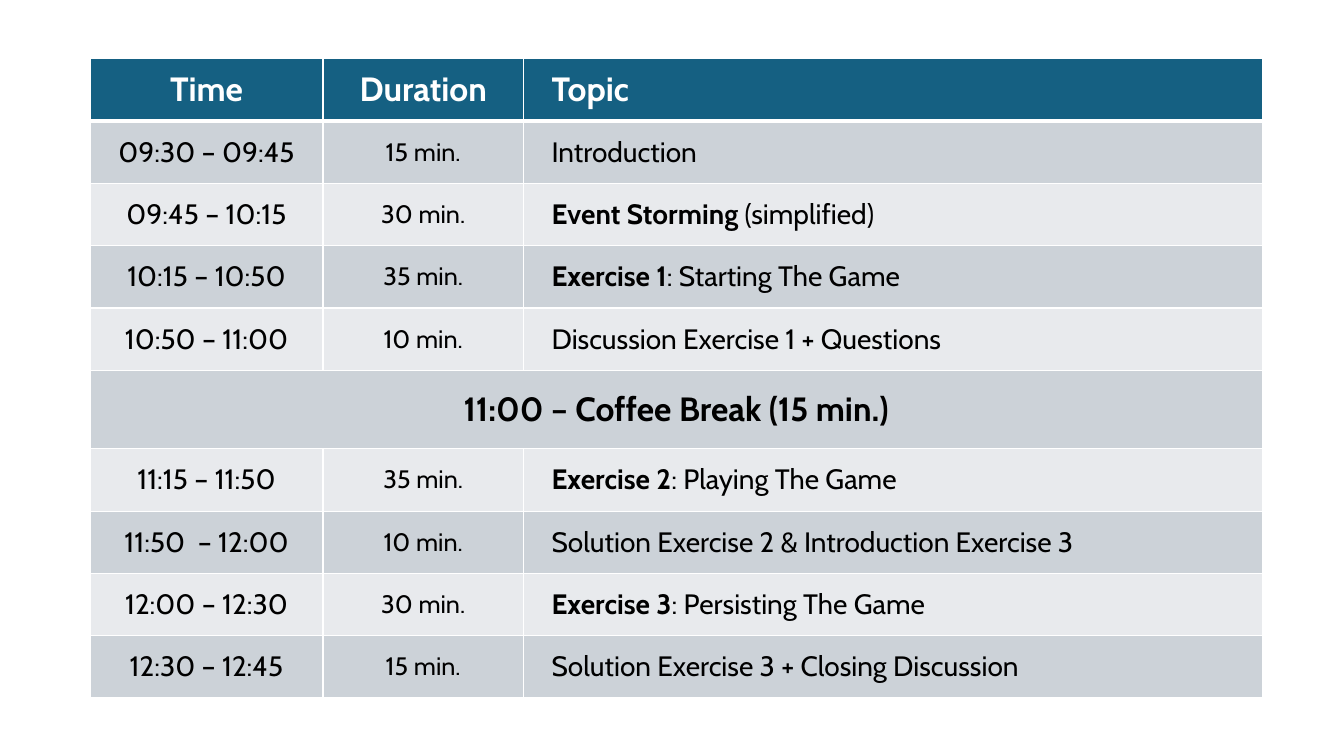
from lxml import etree
from pptx import Presentation
from pptx.dml.color import RGBColor
from pptx.enum.text import MSO_ANCHOR, PP_ALIGN
from pptx.oxml.ns import qn
from pptx.util import Cm, Pt

MIDDLE = MSO_ANCHOR.MIDDLE
LEFT, CENTER = PP_ALIGN.LEFT, PP_ALIGN.CENTER

FONT = "Cabin"
WHITE, BLACK = "FFFFFF", "000000"
HEADER_FILL = "156082"
BAND_FILLS = ("E8EAED", "CCD2D8")  # even rows, odd rows

COL_WIDTHS = (5.87, 5.05, 18.62)
ROW_HEIGHT, BREAK_HEIGHT = 1.57, 1.98
TOPIC_COL = 2
TOPIC_INDENT = 0.71

HEADINGS = ("Time", "Duration", "Topic")
COFFEE_BREAK = "11:00 – Coffee Break (15 min.)"

# Time, duration, bold start of the topic, rest of the topic
AGENDA = (
    ("09:30 – 09:45", "15 min.", "", "Introduction"),
    ("09:45 – 10:15", "30 min.", "Event Storming ", "(simplified)"),
    ("10:15 – 10:50", "35 min.", "Exercise 1", ": Starting The Game"),
    ("10:50 – 11:00", "10 min.", "", "Discussion Exercise 1 + Questions"),
    None,  # coffee break
    ("11:15 – 11:50", "35 min.", "Exercise 2", ": Playing The Game"),
    ("11:50  – 12:00", "10 min.", "",
     "Solution Exercise 2 & Introduction Exercise 3"),
    ("12:00 – 12:30", "30 min.", "Exercise 3", ": Persisting The Game"),
    ("12:30 – 12:45", "15 min.", "",
     "Solution Exercise 3 + Closing Discussion"),
)


def rgb(color):
    return RGBColor.from_string(color)


def set_borders(cell, top, bottom):
    """Give the cell white borders; top and bottom are widths in points."""
    tcPr = cell._tc.get_or_add_tcPr()
    for side, width in (("L", 1), ("R", 1), ("T", top), ("B", bottom)):
        ln = etree.SubElement(tcPr, qn(f"a:ln{side}"), w=str(Pt(width)))
        fill = etree.SubElement(ln, qn("a:solidFill"))
        etree.SubElement(fill, qn("a:srgbClr"), val=WHITE)


def style_cell(cell, row):
    set_borders(cell, 3 if row == 1 else 1, 3 if row == 0 else 1)
    cell.fill.solid()
    cell.fill.fore_color.rgb = rgb(BAND_FILLS[row % 2] if row else HEADER_FILL)
    cell.vertical_anchor = MIDDLE


def write_cell(cell, runs, size, color=BLACK, align=CENTER):
    """Fill the cell with runs, given as (text, bold) pairs."""
    p = cell.text_frame.paragraphs[0]
    p.alignment = align
    for text, bold in runs:
        if not text:
            continue
        r = p.add_run()
        r.text = text
        r.font.name = FONT
        r.font.size = Pt(size)
        r.font.bold = bold
        r.font.color.rgb = rgb(color)


def write_topic(cell, runs, size, color=BLACK):
    cell.margin_left = Cm(TOPIC_INDENT)
    write_cell(cell, runs, size, color, LEFT)


def write_header(table):
    for col, heading in enumerate(HEADINGS):
        write = write_topic if col == TOPIC_COL else write_cell
        write(table.cell(0, col), [(heading, True)], 24, WHITE)


def write_break(table, row):
    table.rows[row].height = Cm(BREAK_HEIGHT)
    first = table.cell(row, 0)
    first.merge(table.cell(row, TOPIC_COL))
    write_cell(first, [(COFFEE_BREAK, True)], 24)


def write_session(table, row, session):
    time, duration, lead, rest = session
    write_cell(table.cell(row, 0), [(time, False)], 20)
    write_cell(table.cell(row, 1), [(duration, False)], 18)
    write_topic(table.cell(row, TOPIC_COL), [(lead, True), (rest, False)], 20)


def add_agenda(slide):
    n_rows = len(AGENDA) + 1
    height = ROW_HEIGHT * (n_rows - 1) + BREAK_HEIGHT
    table = slide.shapes.add_table(
        n_rows, len(COL_WIDTHS), Cm(2.27), Cm(1.48),
        Cm(sum(COL_WIDTHS)), Cm(height)).table
    for column, width in zip(table.columns, COL_WIDTHS):
        column.width = Cm(width)
    for i, row in enumerate(table.rows):
        row.height = Cm(ROW_HEIGHT)
        for cell in row.cells:
            style_cell(cell, i)

    write_header(table)
    for i, session in enumerate(AGENDA, start=1):
        if session is None:
            write_break(table, i)
        else:
            write_session(table, i, session)


def main():
    prs = Presentation()
    prs.slide_width, prs.slide_height = Cm(33.87), Cm(19.05)
    slide = prs.slides.add_slide(prs.slide_layouts[6])
    add_agenda(slide)
    prs.save("out.pptx")


if __name__ == "__main__":
    main()
